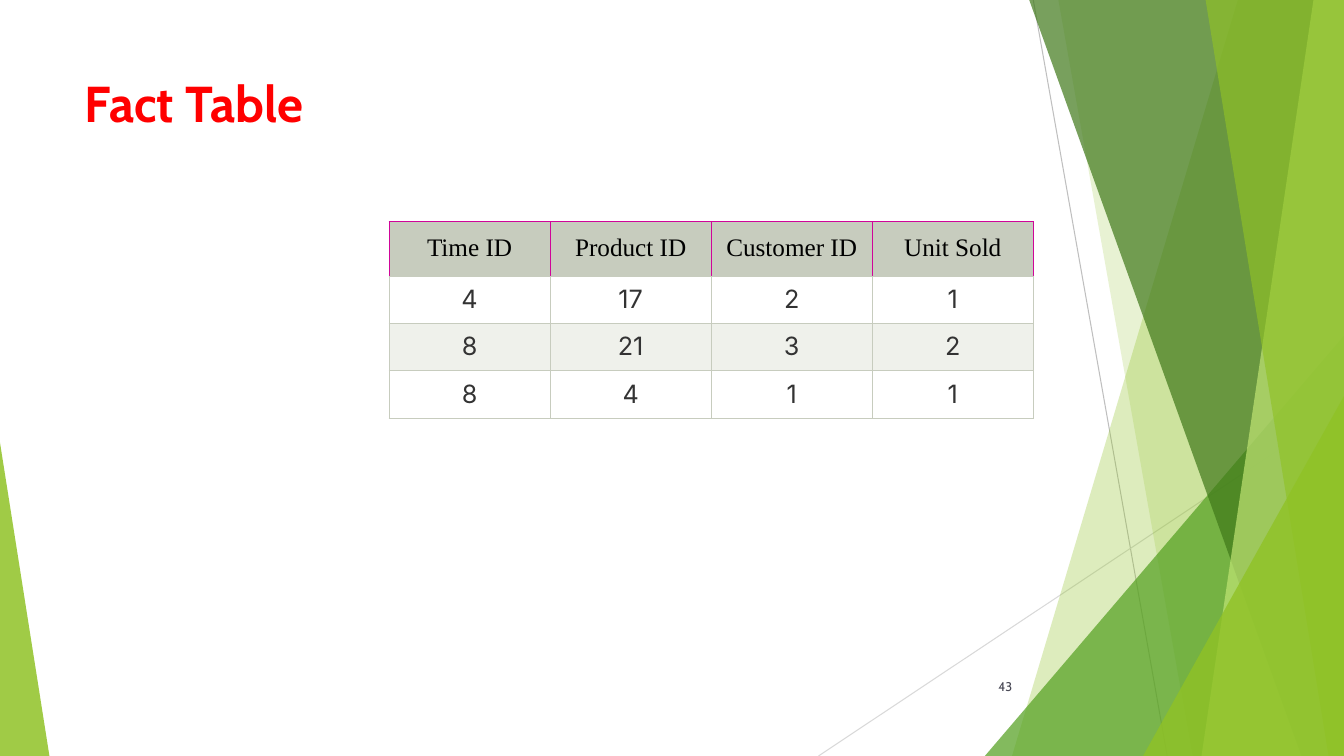
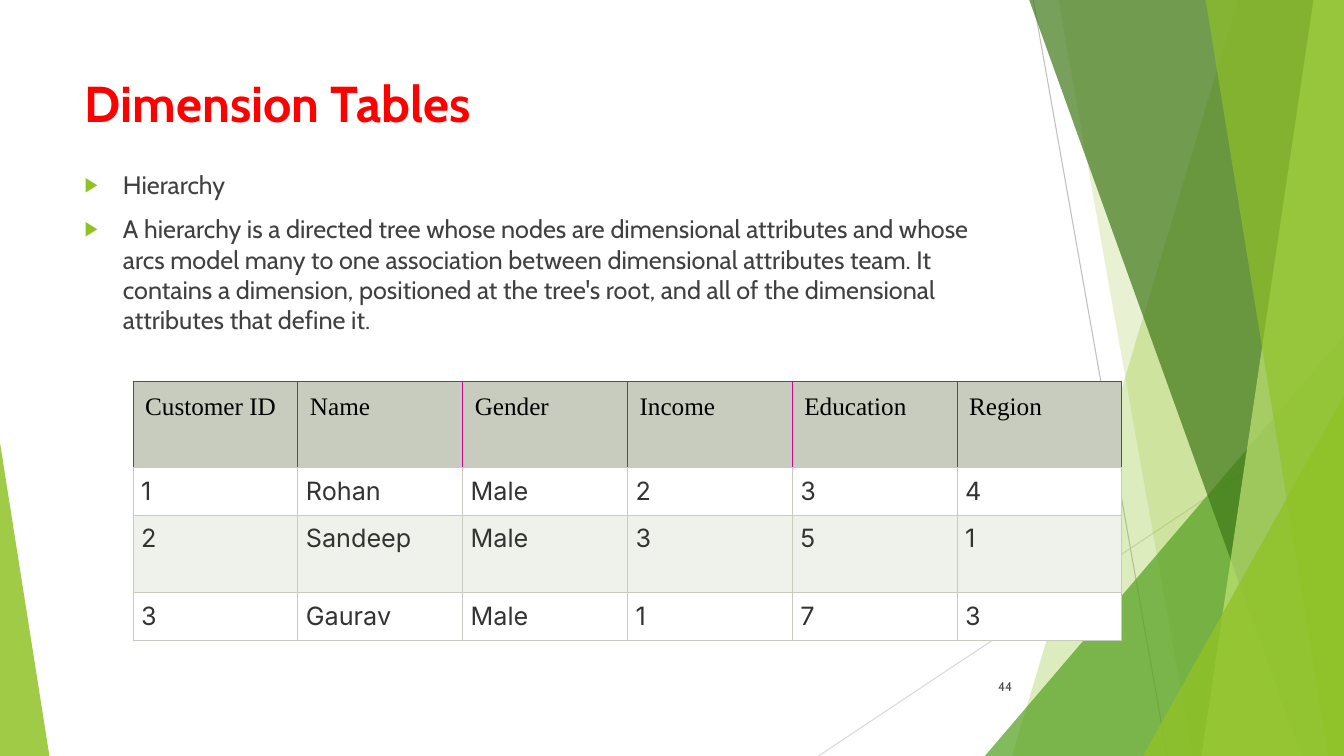
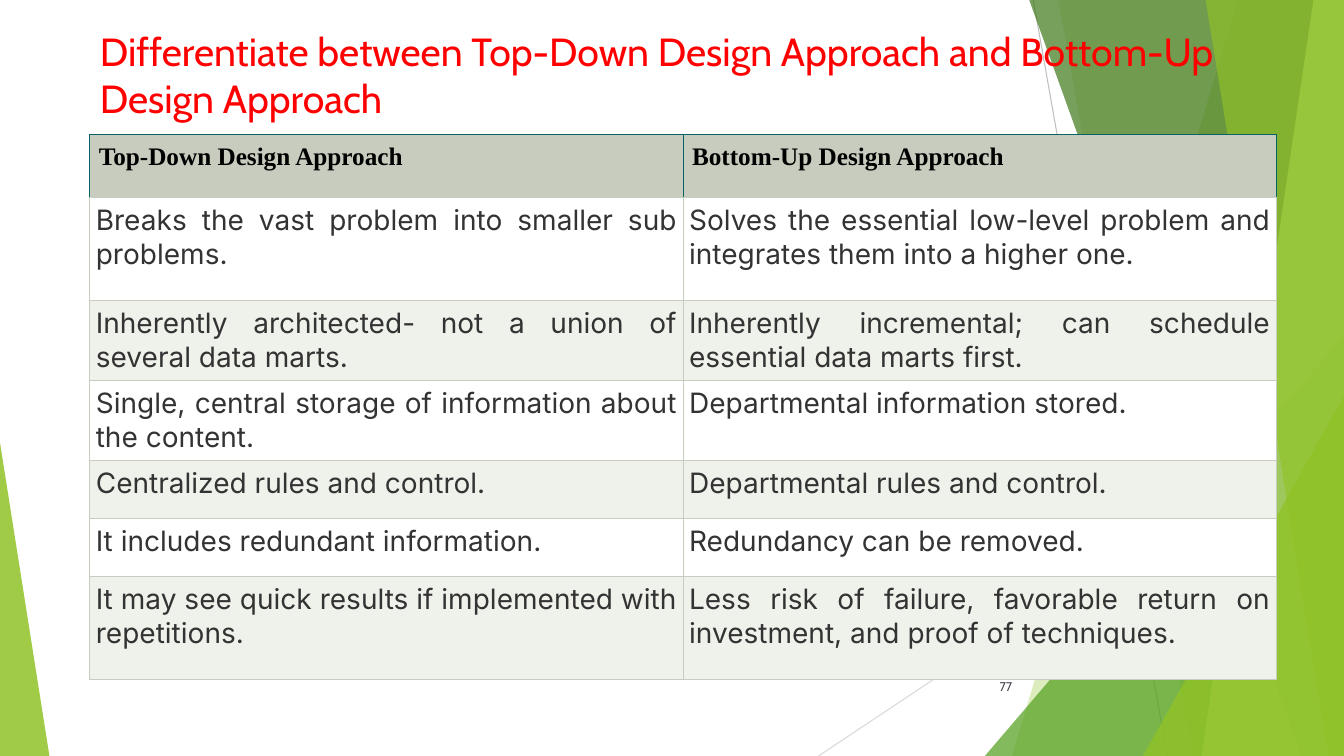
import dataclasses

import lxml.etree
import pptx
import pptx.dml.color
import pptx.enum.shapes
import pptx.enum.text
import pptx.oxml.ns
import pptx.util


@dataclasses.dataclass(frozen=True)
class Theme:
    leaf: str = "90C226"
    meadow: str = "54A021"
    forest: str = "3F7819"
    lime: str = "C0E474"
    title: str = "FF0000"
    body: str = "404040"
    number: str = "464653"
    header_text: str = "000000"
    cell_text: str = "333333"
    header_fill: str = "C7CCBE"
    bands: tuple = ("FFFFFF", "EFF1EB")
    font: str = "Cabin"
    header_font: str = "Times New Roman"
    cell_font: str = "Inter"
    title_size: int = 36
    long_title_size: int = 28
    text_size: int = 18
    large_text_size: int = 20
    number_size: int = 9
    rule: float = 0.75


theme = Theme()
rgb = pptx.dml.color.RGBColor.from_string
qn = pptx.oxml.ns.qn
align = pptx.enum.text.PP_ALIGN
anchor = pptx.enum.text.MSO_ANCHOR

presentation = pptx.Presentation()
presentation.slide_width = pptx.util.Inches(13.33)
presentation.slide_height = pptx.util.Inches(7.5)
column = presentation.slide_width / 100
row = presentation.slide_height / 100


def area(left, top, width, height):
    return [int(left * column), int(top * row), int(width * column), int(height * row)]


def write(paragraph, text, font, size, color, bold=False):
    run = paragraph.add_run()
    run.text = text
    run.font.name = font
    run.font.size = pptx.util.Pt(size)
    run.font.bold = bold
    run.font.color.rgb = rgb(color)


pages = [
    {
        "title": "Fact Table",
        "title_area": (5.55, 8.93, 70.5, 19.2),
        "title_size": theme.title_size,
        "number": "43",
        "bullets": [],
        "table_area": (28.95, 29.33, 47.93),
        "row_heights": [7, 6.27, 6.27, 6.27],
        "header_border": "D00499",
        "insets": (0.12, 0.08),
        "alignments": (align.CENTER, align.CENTER),
        "cell_size": theme.text_size,
        "rows": [
            ["Time ID", "Product ID", "Customer ID", "Unit Sold"],
            ["4", "17", "2", "1"],
            ["8", "21", "3", "2"],
            ["8", "4", "1", "1"],
        ],
    },
    {
        "title": "Dimension Tables",
        "title_area": (5.55, 8.93, 70.5, 19.2),
        "title_size": theme.title_size,
        "number": "44",
        "bullets": [
            "Hierarchy",
            "A hierarchy is a directed tree whose nodes are dimensional attributes and whose "
            "arcs model many to one association between dimensional attributes team. It contains "
            "a dimension, positioned at the tree's root, and all of the dimensional attributes "
            "that define it.",
        ],
        "table_area": (9.9, 50.4, 73.58),
        "row_heights": [11.47, 6.27, 10.27, 6.27],
        "header_border": "C80B8D",
        "insets": (0.12, 0.08),
        "alignments": (align.LEFT, align.JUSTIFY),
        "cell_size": theme.text_size,
        "rows": [
            ["Customer ID", "Name", "Gender", "Income", "Education", "Region"],
            ["1", "Rohan", "Male", "2", "3", "4"],
            ["2", "Sandeep", "Male", "3", "5", "1"],
            ["3", "Gaurav", "Male", "1", "7", "3"],
        ],
    },
    {
        "title": "Differentiate between Top-Down Design Approach and Bottom-Up Design Approach",
        "title_area": (6.68, 2.93, 84.83, 19.2),
        "title_size": theme.long_title_size,
        "number": "77",
        "bullets": [],
        "table_area": (6.68, 17.73, 88.28),
        "row_heights": [8.4, 13.6, 10.6, 10.6, 7.65, 7.65, 13.6],
        "header_border": "086366",
        "insets": (0.09, 0.06),
        "alignments": (align.LEFT, align.JUSTIFY),
        "cell_size": theme.large_text_size,
        "rows": [
            ["Top-Down Design Approach", "Bottom-Up Design Approach"],
            ["Breaks the vast problem into smaller sub problems.",
             "Solves the essential low-level problem and integrates them into a higher one."],
            ["Inherently architected- not a union of several data marts.",
             "Inherently incremental; can schedule essential data marts first."],
            ["Single, central storage of information about the content.",
             "Departmental information stored."],
            ["Centralized rules and control.", "Departmental rules and control."],
            ["It includes redundant information.", "Redundancy can be removed."],
            ["It may see quick results if implemented with repetitions.",
             "Less risk of failure, favorable return on investment, and proof of techniques."],
        ],
    },
]

slides = [
    presentation.slides.add_slide(presentation.slide_layouts[1 if page["bullets"] else 5])
    for page in pages
]

canvas = slides[0].shapes
backdrop = []
for start_x, start_y, end_x, color in [
    (76.88, 0, 86.85, "BFBFBF"),
    (100, 53.73, 60.9, "D9D9D9"),
]:
    line = canvas.add_connector(
        pptx.enum.shapes.MSO_CONNECTOR.STRAIGHT,
        int(start_x * column), int(start_y * row), int(end_x * column), int(100 * row),
    )
    line.line.color.rgb = rgb(color)
    line.line.width = pptx.util.Pt(theme.rule)
    lxml.etree.SubElement(line.element.spPr, qn("a:effectLst"))
    backdrop.append(line)

for kind, geometry, color, opacity in [
    ("blade", (92.1, 75.3), theme.leaf, 30),
    ("blade", (78.75, 88.73), theme.leaf, 20),
    ("triangle", (73.28, 44.4, 26.72, 1), theme.meadow, 72),
    ("blade", (76.58, 96.83), theme.forest, 70),
    ("blade", (97.73, 89.4), theme.lime, 70),
    ("blade", (89.7, 98.85), theme.leaf, 65),
    ("triangle", (85.05, 52.4, 14.95, 1), theme.leaf, 80),
    ("triangle", (0, 58.53, 3.68, 0), theme.leaf, 85),
]:
    if kind == "blade":
        top_x, bottom_x = geometry
        outline = canvas.build_freeform(int(top_x * column), 0)
        outline.add_line_segments([
            (int(x * column), int(y * row)) for x, y in [(100, 0), (100, 100), (bottom_x, 100)]
        ])
        shape = outline.convert_to_shape()
    else:
        left, top, width, apex = geometry
        shape = canvas.add_shape(
            pptx.enum.shapes.MSO_SHAPE.ISOSCELES_TRIANGLE, *area(left, top, width, 100 - top)
        )
        shape.adjustments[0] = apex
    shape.shadow.inherit = False
    shape.line.fill.background()
    shape.fill.solid()
    shape.fill.fore_color.rgb = rgb(color)
    tint = shape.element.spPr.find(qn("a:solidFill"))[0]
    lxml.etree.SubElement(tint, qn("a:alpha"), val=str(opacity * 1000))
    backdrop.append(shape)

for index, shape in enumerate(backdrop):
    shape.element.xpath(".//p:cNvPr")[0].set("id", str(100 + index))
    presentation.slide_master.shapes.element.insert(2 + index, shape.element)

for slide, page in zip(slides, pages):
    title = slide.shapes.title
    title.left, title.top, title.width, title.height = area(*page["title_area"])
    title.text_frame.auto_size = pptx.enum.text.MSO_AUTO_SIZE.NONE
    title.text_frame.vertical_anchor = anchor.TOP
    paragraph = title.text_frame.paragraphs[0]
    paragraph.alignment = align.LEFT
    write(paragraph, page["title"], theme.font, page["title_size"], theme.title,
          page["title_size"] == theme.title_size)

    number = slide.shapes.add_textbox(*area(70.43, 88.13, 5.63, 5.33))
    number.text_frame.word_wrap = True
    number.text_frame.vertical_anchor = anchor.MIDDLE
    paragraph = number.text_frame.paragraphs[0]
    paragraph.alignment = align.RIGHT
    write(paragraph, page["number"], theme.font, theme.number_size, theme.number)

    if page["bullets"]:
        body = slide.placeholders[1]
        body.left, body.top, body.width, body.height = area(5.55, 21.73, 70.5, 56.53)
        body.text_frame.auto_size = pptx.enum.text.MSO_AUTO_SIZE.NONE
        for index, text in enumerate(page["bullets"]):
            paragraph = body.text_frame.add_paragraph() if index else body.text_frame.paragraphs[0]
            paragraph.space_before = pptx.util.Pt(10 if index else 0)
            properties = paragraph._p.get_or_add_pPr()
            indent = pptx.util.Inches(0.38)
            properties.set("marL", str(indent))
            properties.set("indent", str(-indent))
            bullet_color = lxml.etree.SubElement(properties, qn("a:buClr"))
            lxml.etree.SubElement(bullet_color, qn("a:srgbClr"), val=theme.leaf)
            lxml.etree.SubElement(properties, qn("a:buSzPct"), val="80000")
            lxml.etree.SubElement(properties, qn("a:buChar"), char="▶")
            write(paragraph, text, theme.font, theme.text_size, theme.body)

    left, top, width = page["table_area"]
    rows, heights = page["rows"], page["row_heights"]
    table = slide.shapes.add_table(
        len(rows), len(rows[0]), *area(left, top, width, sum(heights))
    ).table
    table.first_row = False
    table.horz_banding = False
    for row_index, texts in enumerate(rows):
        header = row_index == 0
        table.rows[row_index].height = int(heights[row_index] * row)
        inset = pptx.util.Inches(page["insets"][0 if header else 1])
        for column_index, text in enumerate(texts):
            cell = table.cell(row_index, column_index)
            cell.margin_left = cell.margin_right = cell.margin_top = cell.margin_bottom = inset
            for side in "LRTB":
                border = lxml.etree.SubElement(
                    cell._tc.get_or_add_tcPr(), qn("a:ln" + side),
                    w=str(pptx.util.Pt(theme.rule)),
                )
                fill = lxml.etree.SubElement(border, qn("a:solidFill"))
                color = page["header_border"] if header and side != "B" else theme.header_fill
                lxml.etree.SubElement(fill, qn("a:srgbClr"), val=color)
            cell.fill.solid()
            cell.fill.fore_color.rgb = rgb(
                theme.header_fill if header else theme.bands[(row_index - 1) % 2]
            )
            paragraph = cell.text_frame.paragraphs[0]
            paragraph.alignment = page["alignments"][0 if header else 1]
            if header:
                write(paragraph, text, theme.header_font, theme.text_size, theme.header_text,
                      page["title_size"] == theme.long_title_size)
            else:
                write(paragraph, text, theme.cell_font, page["cell_size"], theme.cell_text)

presentation.save("out.pptx")
